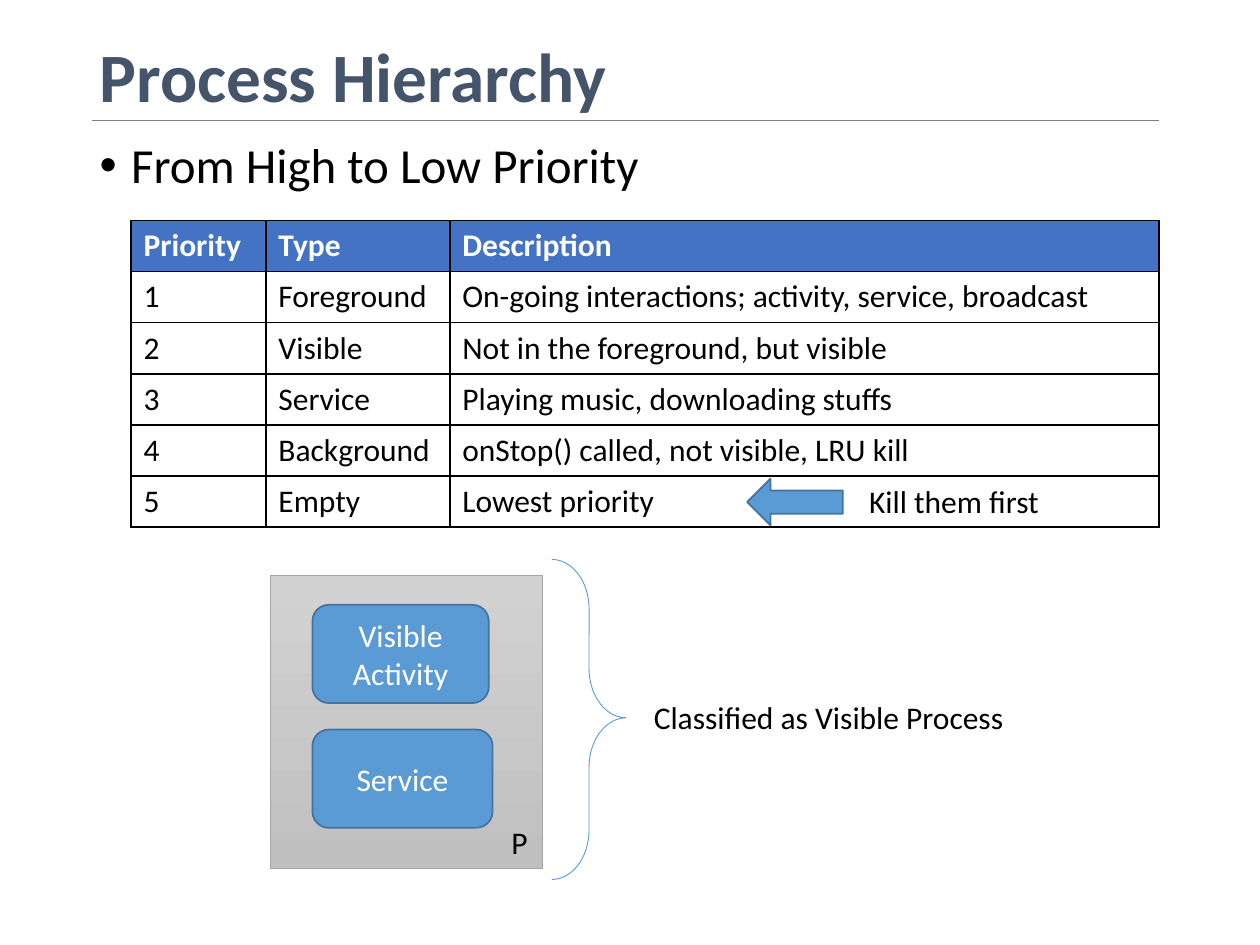
from lxml import etree
from pptx import Presentation
from pptx.dml.color import RGBColor
from pptx.enum.shapes import MSO_CONNECTOR, MSO_SHAPE
from pptx.enum.text import MSO_ANCHOR, MSO_AUTO_SIZE, PP_ALIGN
from pptx.oxml.ns import qn
from pptx.util import Inches, Pt

TITLE = "Process Hierarchy"
BULLET = "From High to Low Priority"
ROWS = [
    ("Priority", "Type", "Description"),
    ("1", "Foreground", "On-going interactions; activity, service, broadcast"),
    ("2", "Visible", "Not in the foreground, but visible"),
    ("3", "Service", "Playing music, downloading stuffs"),
    ("4", "Background", "onStop() called, not visible, LRU kill"),
    ("5", "Empty", "Lowest priority"),
]
COL_WIDTHS = (1.07, 1.46, 5.63)
ROW_HEIGHT = 0.405
COMPONENTS = [  # text, box
    ("Visible\nActivity", (2.48, 4.8, 1.4, 0.78)),
    ("Service", (2.48, 5.79, 1.43, 0.78)),
]
LABELS = [  # text, box, wrap
    ("Kill them first", (6.8, 3.78, 2.04, 0.4), True),
    ("Classified as Visible Process", (5.09, 5.49, 3.01, 0.4), False),
    ("P", (3.96, 6.48, 0.33, 0.4), False),
]

FONT = "Calibri"
BLACK = RGBColor(0x00, 0x00, 0x00)
WHITE = RGBColor(0xFF, 0xFF, 0xFF)
SLATE = RGBColor(0x44, 0x54, 0x6A)
HEADER_BLUE = RGBColor(0x44, 0x72, 0xC4)
BLUE = RGBColor(0x5B, 0x9B, 0xD5)
DARK_BLUE = RGBColor(0x43, 0x73, 0x9E)
RULE_GRAY = RGBColor(0x80, 0x80, 0x80)
BOX_LINE = RGBColor(0xA5, 0xA5, 0xA5)
BOX_TOP = RGBColor(0xD2, 0xD2, 0xD2)
BOX_BOTTOM = RGBColor(0xC0, 0xC0, 0xC0)
LEFT, CENTER = PP_ALIGN.LEFT, PP_ALIGN.CENTER
TOP, MIDDLE = MSO_ANCHOR.TOP, MSO_ANCHOR.MIDDLE
NO_FIT, GROW = MSO_AUTO_SIZE.NONE, MSO_AUTO_SIZE.SHAPE_TO_FIT_TEXT


def inches(box):
    """Turn a tuple of numbers into lengths."""
    return [Inches(v) for v in box]


def set_text(tf, text, color=BLACK, size=18, bold=False, align=LEFT):
    """Fill a text frame and format its paragraphs and runs."""
    tf.text = text
    for p in tf.paragraphs:
        p.alignment = align
        for r in p.runs:
            r.font.name, r.font.size, r.font.bold = FONT, Pt(size), bold
            r.font.color.rgb = color


def fill_placeholder(sp, box, text, anchor, before, **style):
    """Move a placeholder and set its text."""
    sp.left, sp.top, sp.width, sp.height = inches(box)
    tf = sp.text_frame
    set_text(tf, text, **style)
    tf.auto_size, tf.vertical_anchor = NO_FIT, anchor
    tf.paragraphs[0].line_spacing = 0.9
    tf.paragraphs[0].space_before = Pt(before)


def add_shape(s, kind, box, fill=BLUE, line=DARK_BLUE, width=1):
    """Add a flat preset shape; no fill when fill is None."""
    sp = s.shapes.add_shape(kind, *inches(box))
    sp.shadow.inherit = False
    if fill is None:
        sp.fill.background()
    else:
        sp.fill.solid()
        sp.fill.fore_color.rgb = fill
    sp.line.color.rgb, sp.line.width = line, Pt(width)
    return sp


def set_borders(cell):
    """Draw a thin black line on all four sides of a cell."""
    tc_pr = cell._tc.get_or_add_tcPr()
    for i, side in enumerate(("a:lnL", "a:lnR", "a:lnT", "a:lnB")):
        ln = etree.Element(qn(side), w=str(Pt(1)))
        fill = etree.SubElement(ln, qn("a:solidFill"))
        etree.SubElement(fill, qn("a:srgbClr"), val=str(BLACK))
        tc_pr.insert(i, ln)


def add_priority_table(s):
    """Add the table of process priorities."""
    box = (1.04, 1.75, sum(COL_WIDTHS), ROW_HEIGHT * len(ROWS))
    table = s.shapes.add_table(len(ROWS), len(COL_WIDTHS), *inches(box)).table
    table.horz_banding = False
    for col, width in zip(table.columns, COL_WIDTHS):
        col.width = Inches(width)
    for i, row in enumerate(ROWS):
        header = i == 0
        for j, text in enumerate(row):
            cell = table.cell(i, j)
            set_text(cell.text_frame, text, WHITE if header else BLACK, bold=header)
            if header:
                cell.fill.solid()
                cell.fill.fore_color.rgb = HEADER_BLUE
            else:
                cell.fill.background()
            set_borders(cell)


def add_rule(s):
    """Add the line below the title."""
    rule = s.shapes.add_connector(MSO_CONNECTOR.STRAIGHT, *inches((0.73, 0.96, 9.2, 0.96)))
    rule.line.color.rgb, rule.line.width = RULE_GRAY, Pt(0.5)
    etree.SubElement(rule._element.spPr, qn("a:effectLst"))


def add_process(s):
    """Add the process box, its components and the brace."""
    sp = add_shape(s, MSO_SHAPE.RECTANGLE, (2.15, 4.57, 2.16, 2.32), line=BOX_LINE, width=0.5)
    sp.fill.gradient()
    sp.fill.gradient_angle = 270
    for stop, color in zip(sp.fill.gradient_stops, (BOX_TOP, BOX_BOTTOM)):
        stop.color.rgb = color
    for text, box in COMPONENTS:
        sp = add_shape(s, MSO_SHAPE.ROUNDED_RECTANGLE, box)
        set_text(sp.text_frame, text, WHITE, align=CENTER)
        sp.text_frame.vertical_anchor = MIDDLE
    brace = add_shape(s, MSO_SHAPE.RIGHT_BRACE, (4.38, 4.44, 0.59, 2.54), None, BLUE, 0.5)
    brace.adjustments[0], brace.adjustments[1] = 0.667, 0.495


prs = Presentation()
prs.slide_width, prs.slide_height = Inches(10), Inches(7.5)
s = prs.slides.add_slide(prs.slide_layouts[1])

add_priority_table(s)
fill_placeholder(s.shapes.title, (0.69, 0.4, 8.62, 0.47), TITLE, MIDDLE, 0,
                 color=SLATE, size=39.6, bold=True)
add_rule(s)
body = s.placeholders[1]
fill_placeholder(body, (0.69, 1.07, 8.62, 5.68), BULLET, TOP, 10, size=28)
p_pr = body.text_frame.paragraphs[0]._p.get_or_add_pPr()
p_pr.set("marL", str(Inches(0.25)))
p_pr.set("indent", str(Inches(-0.25)))

add_shape(s, MSO_SHAPE.LEFT_ARROW, (5.93, 3.8, 0.76, 0.37))
add_process(s)
for text, box, wrap in LABELS:
    tf = s.shapes.add_textbox(*inches(box)).text_frame
    set_text(tf, text)
    tf.word_wrap, tf.auto_size = wrap, GROW

prs.save("out.pptx")
